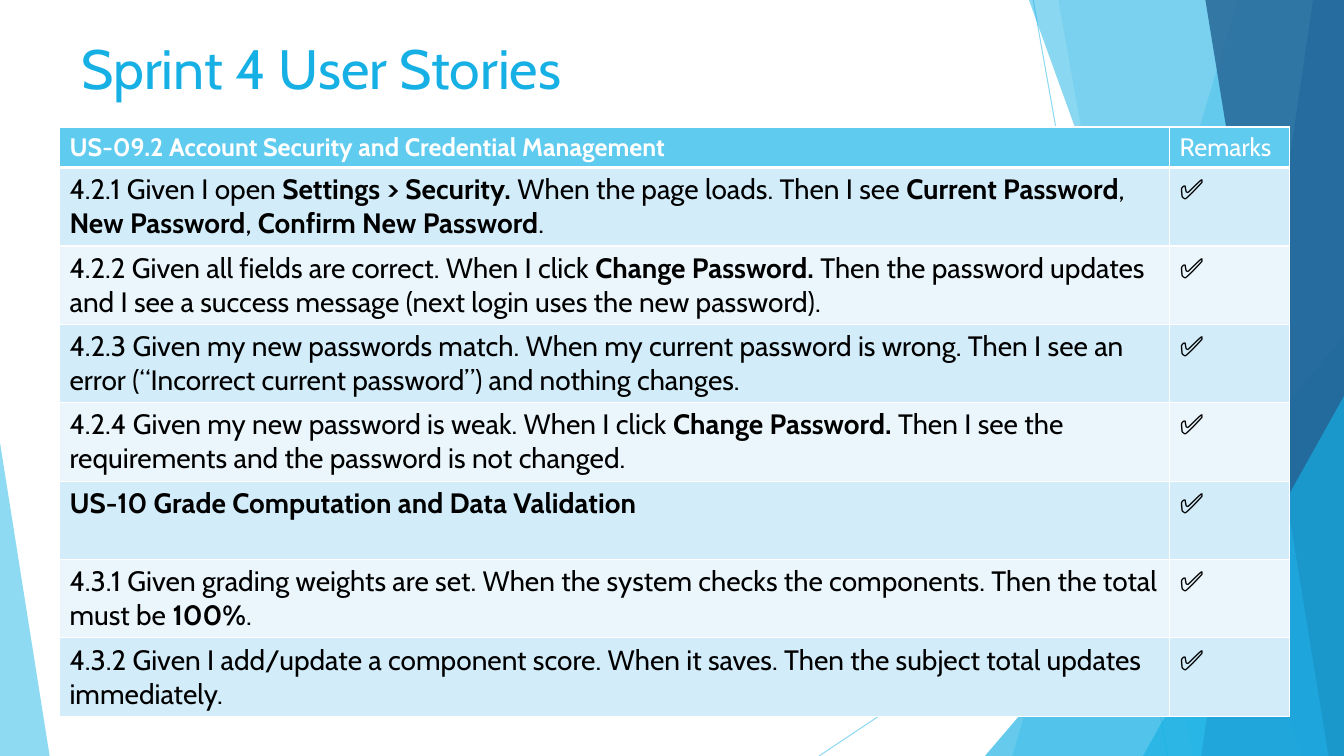
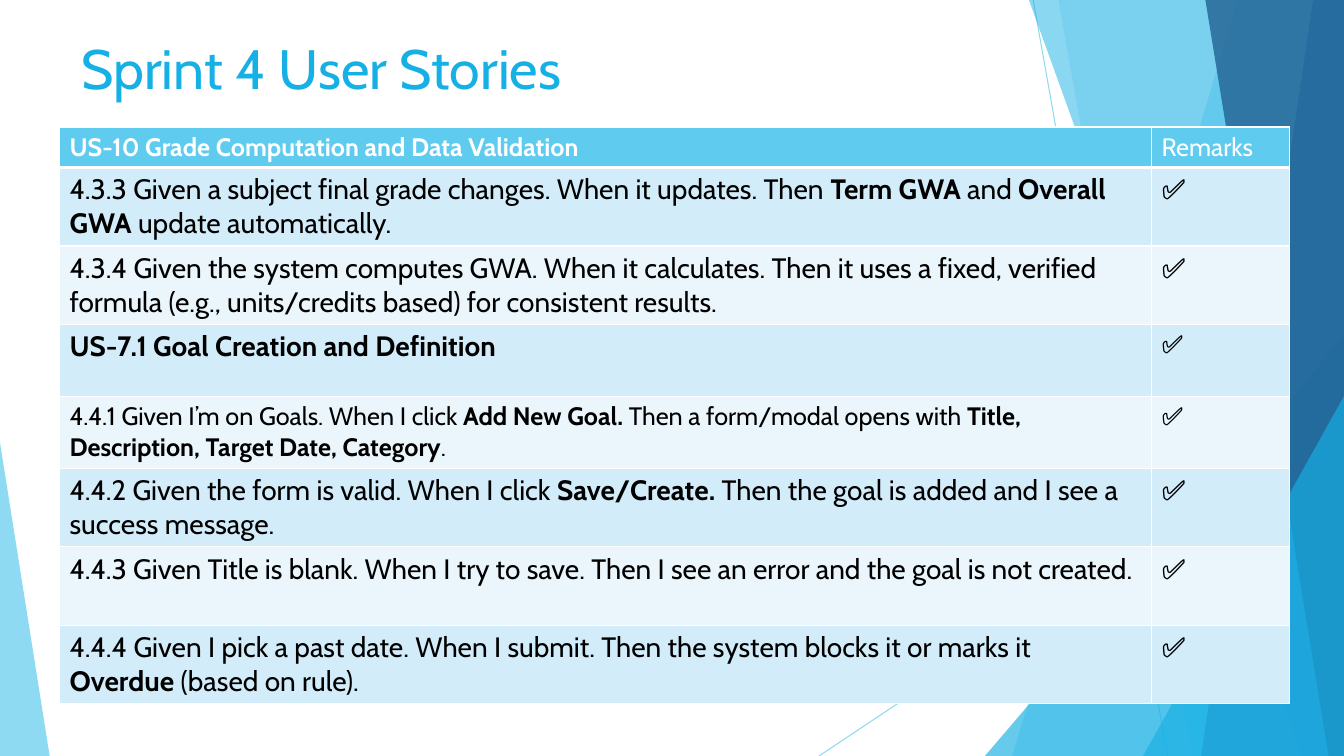
from lxml.etree import SubElement
from pptx import Presentation
from pptx.dml.color import RGBColor
from pptx.enum.shapes import MSO_CONNECTOR, MSO_SHAPE
from pptx.enum.text import MSO_ANCHOR
from pptx.oxml.ns import qn
from pptx.util import Pt

FONT = "Cabin"
COLORS = {
    "white": "FFFFFF", "black": "000000", "sky": "5FCBEF", "blue": "17B0E4",
    "steel": "2E83C3", "navy": "226292", "band": "D2ECF9", "pale": "EAF6FC",
}
W, H = 960, 540

LINES = [(738, 0, 834, H), (W, 290, 585, H)]
FACETS = [
    ("poly", (884, W, W, 723), "sky", 36),
    ("poly", (756, W, W, 852), "sky", 20),
    ("tri", (703.5, 240, 256.5, 300, 1), "blue", 66),
    ("poly", (735, W, W, 930), "blue", 50),
    ("poly", (938, W, W, 858), "steel", 70),
    ("poly", (861, W, W, 949), "navy", 80),
    ("tri", (816.5, 283, 143.5, 257, 1), "blue", 66),
    ("tri", (0, 316, 35.5, 224, 0), "sky", 70),
]

TITLE = "Sprint 4 User Stories"
HEAD_H = 29
ROW_H = {20: 56, 18: 51.5}
STORIES = [
    ((793, 85.5), "US-09.2 Account Security and Credential Management", [
        ("4.2.1 Given I open *Settings > Security. *When the page loads. Then I see "
         "*Current Password*, *New Password*, *Confirm New Password*.", 20, 20),
        ("4.2.2 Given all fields are correct. When I click *Change Password. *Then the "
         "password updates and I see a success message (next login uses the new password).", 20, 20),
        ("4.2.3 Given my new passwords match. When my current password is wrong. Then I see "
         "an error (“Incorrect current password”) and nothing changes.", 20, 20),
        ("4.2.4 Given my new password is weak. When I click *Change Password. *Then I see the "
         "requirements and the password is not changed.", 20, 20),
        ("*US-10 Grade Computation and Data Validation*", 20, 20),
        ("4.3.1 Given grading weights are set. When the system checks the components. "
         "Then the total must be *100%*.", 20, 20),
        ("4.3.2 Given I add/update a component score. When it saves. Then the subject total "
         "updates immediately.", 20, 20),
    ]),
    ((780, 98.5), "US-10 Grade Computation and Data Validation", [
        ("4.3.3 Given a subject final grade changes. When it updates. Then *Term GWA* and "
         "*Overall GWA* update automatically.", 20, 20),
        ("4.3.4 Given the system computes GWA. When it calculates. Then it uses a fixed, "
         "verified formula (e.g., units/credits based) for consistent results.", 20, 20),
        ("*US-7.1 Goal Creation and Definition*", 20, 18),
        ("4.4.1 Given I’m on Goals. When I click *Add New Goal. *Then a form/modal opens with "
         "*Title, Description, Target Date, Category*.", 18, 18),
        ("4.4.2 Given the form is valid. When I click *Save/Create. *Then the goal is added "
         "and I see a success message.", 20, 20),
        ("4.4.3 Given Title is blank. When I try to save. Then I see an error and the goal is "
         "not created.", 20, 20),
        ("4.4.4 Given I pick a past date. When I submit. Then the system blocks it or marks it "
         "*Overdue* (based on rule).", 20, 20),
    ]),
]


def add_runs(p, text, size, color):
    for i, part in enumerate(text.split("*")):
        if part:
            r = p.add_run()
            r.text = part
            r.font.name = FONT
            r.font.size = Pt(size)
            r.font.bold = i % 2 == 1
            r.font.color.rgb = RGBColor.from_string(COLORS[color])


def set_alpha(sp, percent):
    for clr in sp.element.xpath("./p:spPr//a:srgbClr"):
        SubElement(clr, qn("a:alpha"), val=str(percent * 1000))


prs = Presentation()
prs.slide_width, prs.slide_height = Pt(W), Pt(H)

for widths, heading, stories in STORIES:
    s = prs.slides.add_slide(prs.slide_layouts[6])

    for ends in LINES:
        ln = s.shapes.add_connector(MSO_CONNECTOR.STRAIGHT, *[Pt(v) for v in ends])
        ln.line.color.rgb = RGBColor.from_string(COLORS["sky"])
        ln.line.width = Pt(0.75)
        set_alpha(ln, 70)
        SubElement(ln.element.spPr, qn("a:effectLst"))

    for kind, geo, color, alpha in FACETS:
        if kind == "poly":
            pts = list(zip(geo, (0, 0, H, H)))
            fb = s.shapes.build_freeform(*pts[0], scale=Pt(1))
            fb.add_line_segments(pts[1:], close=True)
            sp = fb.convert_to_shape()
        else:
            sp = s.shapes.add_shape(MSO_SHAPE.ISOSCELES_TRIANGLE, *[Pt(v) for v in geo[:4]])
            sp.adjustments[0] = geo[4]
        sp.shadow.inherit = False
        sp.fill.solid()
        sp.fill.fore_color.rgb = RGBColor.from_string(COLORS[color])
        sp.line.fill.background()
        set_alpha(sp, alpha)

    tf = s.shapes.add_textbox(Pt(51), Pt(36), Pt(869), Pt(24)).text_frame
    tf.word_wrap = True
    tf.vertical_anchor = MSO_ANCHOR.MIDDLE
    add_runs(tf.paragraphs[0], TITLE, 39.6, "blue")

    heights = [HEAD_H] + [ROW_H[mark_size] for _, _, mark_size in stories]
    tbl = s.shapes.add_table(len(heights), 2, Pt(42.5), Pt(90.75),
                             Pt(sum(widths)), Pt(sum(heights))).table
    for col, width in zip(tbl.columns, widths):
        col.width = Pt(width)
    for row, height in zip(tbl.rows, heights):
        row.height = Pt(height)

    rows = [[(f"*{heading}*", 18), ("Remarks", 18)]]
    rows += [[(text, size), ("✅", mark_size)] for text, size, mark_size in stories]
    for i, cells in enumerate(rows):
        fill = "sky" if i == 0 else ("pale", "band")[i % 2]
        for j, (text, size) in enumerate(cells):
            cell = tbl.cell(i, j)
            add_runs(cell.text_frame.paragraphs[0], text, size, "black" if i else "white")
            tcPr = cell._tc.get_or_add_tcPr()
            for side in "LRTB":
                thick = (i, side) in [(0, "B"), (1, "T")]
                edge = SubElement(tcPr, qn(f"a:ln{side}"), w=str(Pt(3 if thick else 1)))
                SubElement(SubElement(edge, qn("a:solidFill")), qn("a:srgbClr"), val=COLORS["white"])
            cell.fill.solid()
            cell.fill.fore_color.rgb = RGBColor.from_string(COLORS[fill])

prs.save("out.pptx")
